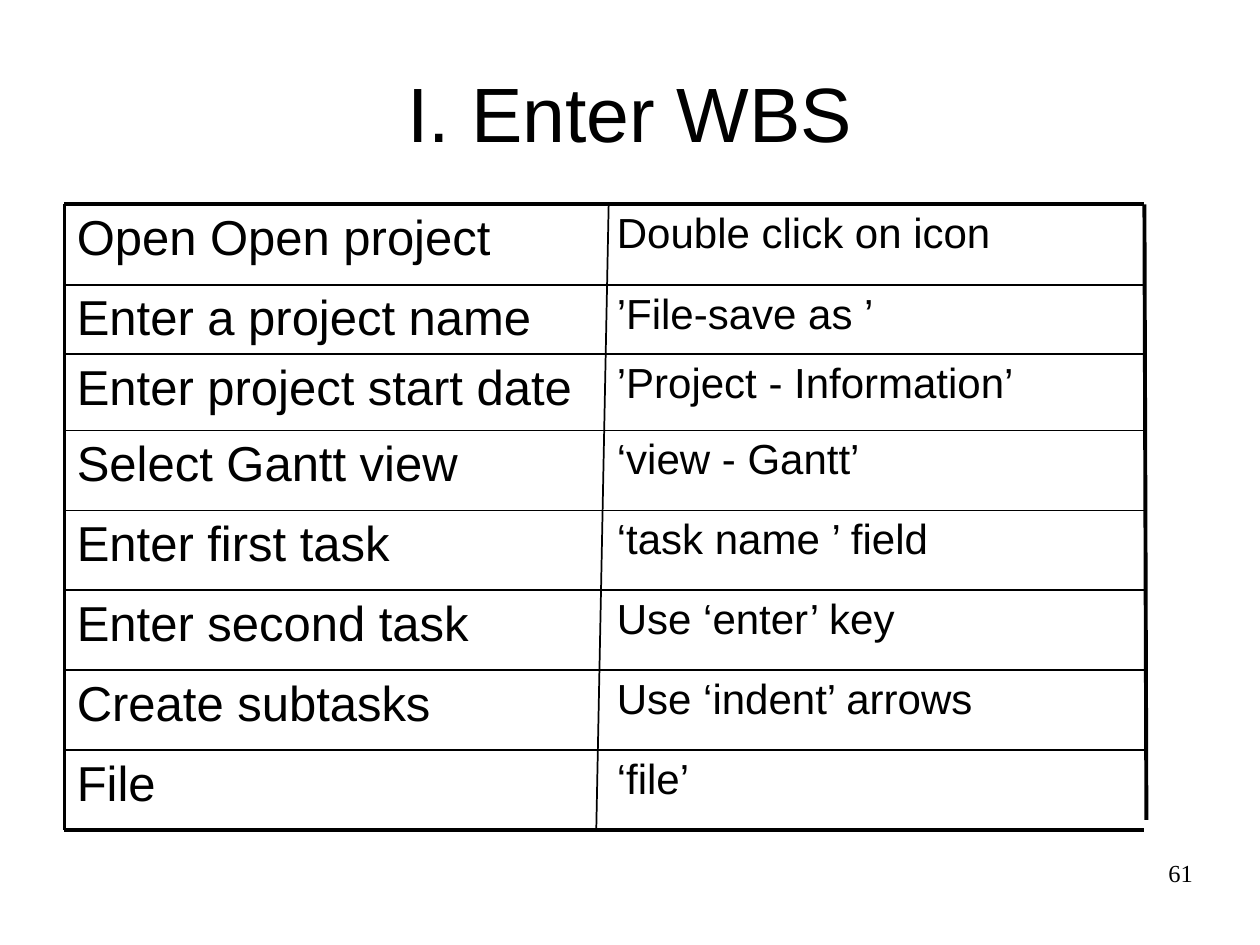
from itertools import accumulate

from lxml import etree
from pptx import Presentation
from pptx.dml.color import RGBColor
from pptx.enum.shapes import MSO_CONNECTOR
from pptx.enum.text import MSO_ANCHOR, MSO_AUTO_SIZE, PP_ALIGN
from pptx.oxml.ns import qn
from pptx.util import Cm, Pt

STRAIGHT = MSO_CONNECTOR.STRAIGHT
TOP, MIDDLE = MSO_ANCHOR.TOP, MSO_ANCHOR.MIDDLE
LEFT, CENTER, RIGHT = PP_ALIGN.LEFT, PP_ALIGN.CENTER, PP_ALIGN.RIGHT
NO_AUTOFIT = MSO_AUTO_SIZE.NONE

COLORS = {"text": "000000", "line": "000000", "background": "FFFFFF"}
THICK, THIN = 2.25, 1

STEPS = [
    ("Open Open project", "Double click on icon", 1.62),
    ("Enter a project name", "’File-save as ’", 1.4),
    ("Enter project start date", "’Project - Information’", 1.54),
    ("Select Gantt view", "‘view - Gantt’", 1.61),
    ("Enter first task", "‘task name ’ field", 1.61),
    ("Enter second task", "Use ‘enter’ key", 1.61),
    ("Create subtasks", "Use ‘indent’ arrows", 1.61),
    ("File", "‘file’", 1.61),
]


def write_text(shape, text, size, font="Arial", align=LEFT, anchor=TOP,
               spacing=0.95, inset=(0.25, 0.13)):
    frame = shape.text_frame
    frame.word_wrap = True
    frame.auto_size = NO_AUTOFIT
    frame.vertical_anchor = anchor
    frame.margin_left = frame.margin_right = Cm(inset[0])
    frame.margin_top = frame.margin_bottom = Cm(inset[1])
    paragraph = frame.paragraphs[0]
    paragraph.alignment = align
    paragraph.line_spacing = spacing
    run = paragraph.add_run()
    run.text = text
    run.font.name = font
    run.font.size = Pt(size)
    run.font.color.rgb = RGBColor.from_string(COLORS["text"])


def add_text(slide, box, text, **text_format):
    shape = slide.shapes.add_textbox(*map(Cm, box))
    write_text(shape, text, **text_format)


def add_line(slide, start, end, width):
    connector = slide.shapes.add_connector(STRAIGHT, *map(Cm, (*start, *end)))
    connector.line.color.rgb = RGBColor.from_string(COLORS["line"])
    connector.line.width = Pt(width)
    etree.SubElement(connector._element.spPr, qn("a:effectLst"))


def add_title(slide, box, text):
    title = slide.shapes.title
    title.left, title.top, title.width, title.height = map(Cm, box)
    write_text(title, text, size=44, align=CENTER, anchor=MIDDLE)


def add_step_grid(slide, box, steps):
    left, top, width, height = box
    right, bottom = left + width, top + height
    column = width / 2
    edges = list(accumulate((step[2] for step in steps), initial=top))

    for (task, action, _), row_top in zip(steps, edges):
        add_text(slide, (left, row_top, column, 1.61), task, size=28)
        add_text(slide, (left + column, row_top, column, 1.61), action,
                 size=24, spacing=0.94)

    for edge in edges:
        outer = edge in (edges[0], edges[-1])
        add_line(slide, (left, edge), (right, edge), THICK if outer else THIN)
    add_line(slide, (left, top), (left, bottom), THICK)
    add_line(slide, (left + 10.97, top), (left + 10.72, bottom), THIN)
    add_line(slide, (right, top), (right + 0.04, bottom - 0.2), THICK)


def add_page_number(slide, box, number):
    add_text(slide, box, number, size=14, font="Times New Roman",
             align=RIGHT, spacing=0.93, inset=(0, 0))


def main():
    presentation = Presentation()
    presentation.slide_width, presentation.slide_height = Cm(25.4), Cm(19.05)
    slide = presentation.slides.add_slide(presentation.slide_layouts[5])
    slide.background.fill.solid()
    slide.background.fill.fore_color.rgb = RGBColor.from_string(COLORS["background"])

    add_title(slide, (1.27, 0.76, 22.86, 3.18), "I. Enter WBS")
    add_step_grid(slide, (1.3, 4.12, 21.77, 12.61), STEPS)
    add_page_number(slide, (18.21, 17.35, 5.84, 1.24), "61")
    presentation.save("out.pptx")


if __name__ == "__main__":
    main()
